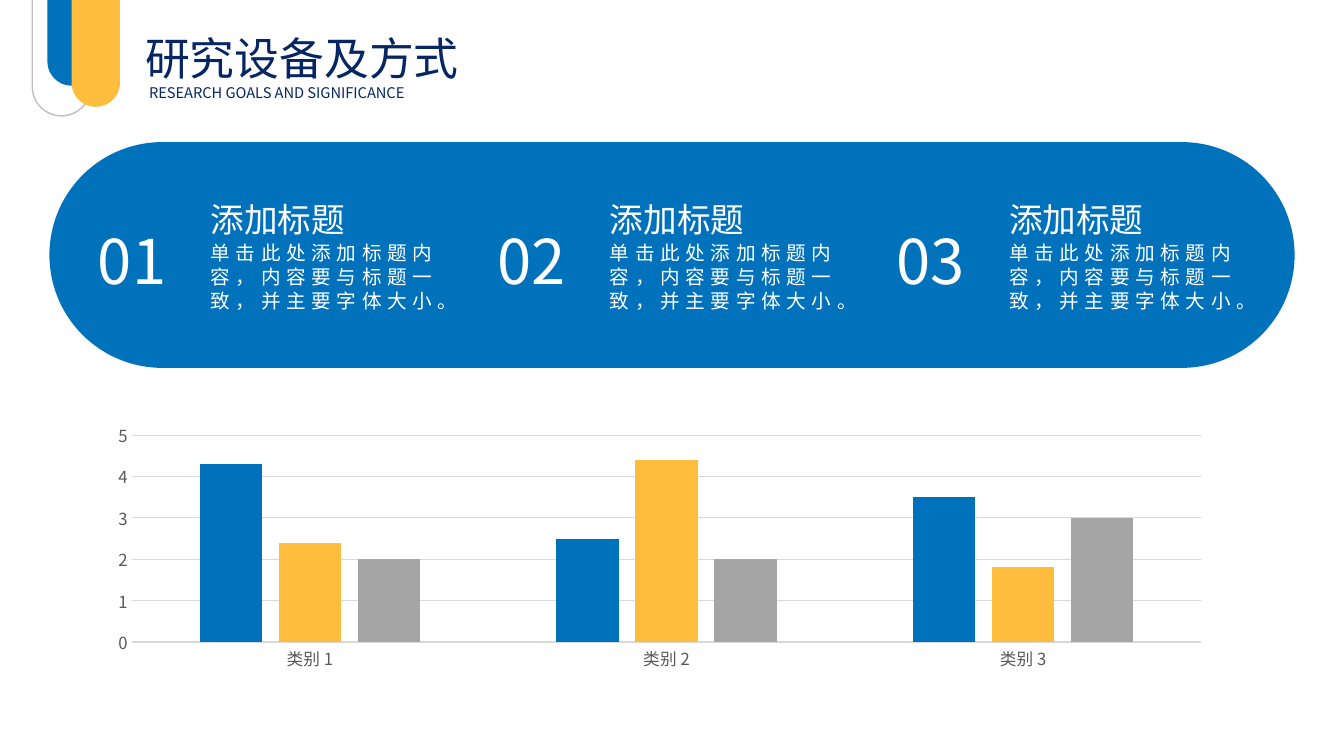
"""Build the research equipment and methods slide: header, three-point band and column chart."""
import pptx
import pptx.chart.data
import pptx.dml.color
import pptx.enum.chart
import pptx.enum.shapes
import pptx.enum.text
import pptx.oxml
import pptx.oxml.ns
import pptx.util

BLUE = pptx.dml.color.RGBColor(0x00, 0x72, 0xBB)
YELLOW = pptx.dml.color.RGBColor(0xFE, 0xBD, 0x3D)
GREY = pptx.dml.color.RGBColor(0xA5, 0xA5, 0xA5)
OUTLINE = pptx.dml.color.RGBColor(0xBF, 0xBF, 0xBF)
GRID = pptx.dml.color.RGBColor(0xD9, 0xD9, 0xD9)
LABEL = pptx.dml.color.RGBColor(0x59, 0x59, 0x59)
NAVY = pptx.dml.color.RGBColor(0x05, 0x26, 0x63)
WHITE = pptx.dml.color.RGBColor(0xFF, 0xFF, 0xFF)
FONT = "Noto Sans CJK SC"
ALIGN = pptx.enum.text.PP_ALIGN
COLUMN_PITCH = 3.96

deck = pptx.Presentation()
deck.slide_width = pptx.util.Inches(13.33)
deck.slide_height = pptx.util.Inches(7.5)
page = deck.slides.add_slide(deck.slide_layouts[6])


def add_pill(left, top, width, height, fill=None):
    """Add a fully rounded bar, filled or outlined."""
    pill = page.shapes.add_shape(
        pptx.enum.shapes.MSO_SHAPE.ROUNDED_RECTANGLE,
        *map(pptx.util.Inches, (left, top, width, height)))
    pill.adjustments[0] = 0.5
    pill.shadow.inherit = False
    if fill is None:
        pill.fill.background()
        pill.line.color.rgb = OUTLINE
        pill.line.width = pptx.util.Pt(1)
    else:
        pill.fill.solid()
        pill.fill.fore_color.rgb = fill
        pill.line.fill.background()


def add_text(text, left, top, width, height, size, color, align, leading, tracking=0):
    """Add a one-paragraph text box whose leading is a multiple of the text size."""
    box = page.shapes.add_textbox(*map(pptx.util.Inches, (left, top, width, height)))
    frame = box.text_frame
    frame.word_wrap = True
    frame.auto_size = pptx.enum.text.MSO_AUTO_SIZE.SHAPE_TO_FIT_TEXT
    para = frame.paragraphs[0]
    para.alignment = align
    para.line_spacing = pptx.util.Pt(size * leading)
    span = para.add_run()
    span.text = text
    span.font.color.rgb = color
    for name, value in {"name": FONT, "size": pptx.util.Pt(size)}.items():
        setattr(span.font, name, value)
    properties = span.font._element
    east_asian = pptx.oxml.parse_xml(
        f'<a:ea {pptx.oxml.ns.nsdecls("a")} typeface="{FONT}"/>')
    properties.find(pptx.oxml.ns.qn("a:latin")).addnext(east_asian)
    if tracking:
        properties.set("spc", str(tracking * 100))


add_pill(0.32, -0.45, 0.58, 1.6)
add_pill(0.47, -0.55, 0.48, 1.4, BLUE)
add_pill(0.71, -0.34, 0.48, 1.4, YELLOW)
add_text("研究设备及方式", 1.34, 0.21, 3.7, 0.64, 32, NAVY, ALIGN.JUSTIFY, 1.3)
add_text("RESEARCH GOALS AND SIGNIFICANCE", 1.38, 0.77, 4.04, 0.29, 10.5, NAVY,
         ALIGN.JUSTIFY, 1.25)

add_pill(0.49, 1.41, 12.35, 2.24, BLUE)
for column in range(3):
    shift = column * COLUMN_PITCH
    add_text("添加标题", 1.99 + shift, 1.91, 1.79, 0.5, 24, WHITE, ALIGN.LEFT, 1.25)
    add_text("单击此处添加标题内容，内容要与标题一致，并主要字体大小。",
             1.99 + shift, 2.34, 2.62, 0.81, 14, WHITE, ALIGN.LEFT, 1.22, tracking=4)
    add_text(f"{column + 1:02}", 0.75 + shift, 2.1, 1.12, 0.84, 44, WHITE,
             ALIGN.CENTER, 1.3)

data = pptx.chart.data.CategoryChartData()
data.categories = [f"类别 {number}" for number in (1, 2, 3)]
series_values = [(4.3, 2.5, 3.5), (2.4, 4.4, 1.8), (2, 2, 3)]
for number, values in enumerate(series_values, start=1):
    data.add_series(f"Series {number}", values)
chart = page.shapes.add_chart(
    pptx.enum.chart.XL_CHART_TYPE.COLUMN_CLUSTERED,
    *map(pptx.util.Inches, (0.95, 4.14, 11.19, 2.57)), data).chart
chart.has_legend = False
chart.has_title = False
chart.font.name = "Calibri"
chart.font.size = pptx.util.Pt(10)

plot = chart.plots[0]
for name, value in {"gap_width": 219, "overlap": -27, "vary_by_categories": False}.items():
    setattr(plot, name, value)
for series, color in zip(plot.series, (BLUE, YELLOW, GREY)):
    series.format.fill.solid()
    series.format.fill.fore_color.rgb = color

for axis in (chart.category_axis, chart.value_axis):
    axis.major_tick_mark = pptx.enum.chart.XL_TICK_MARK.NONE
    axis.minor_tick_mark = pptx.enum.chart.XL_TICK_MARK.NONE
    label_font = axis.tick_labels.font
    label_font.color.rgb = LABEL
    for name, value in {"name": FONT, "size": pptx.util.Pt(11.9)}.items():
        setattr(label_font, name, value)
for rule in (chart.category_axis.format.line, chart.value_axis.major_gridlines.format.line):
    rule.color.rgb = GRID
    rule.width = pptx.util.Pt(0.75)
chart.value_axis.format.line.fill.background()
for name, value in {"minimum_scale": 0, "maximum_scale": 5, "major_unit": 1}.items():
    setattr(chart.value_axis, name, value)

deck.save("out.pptx")
